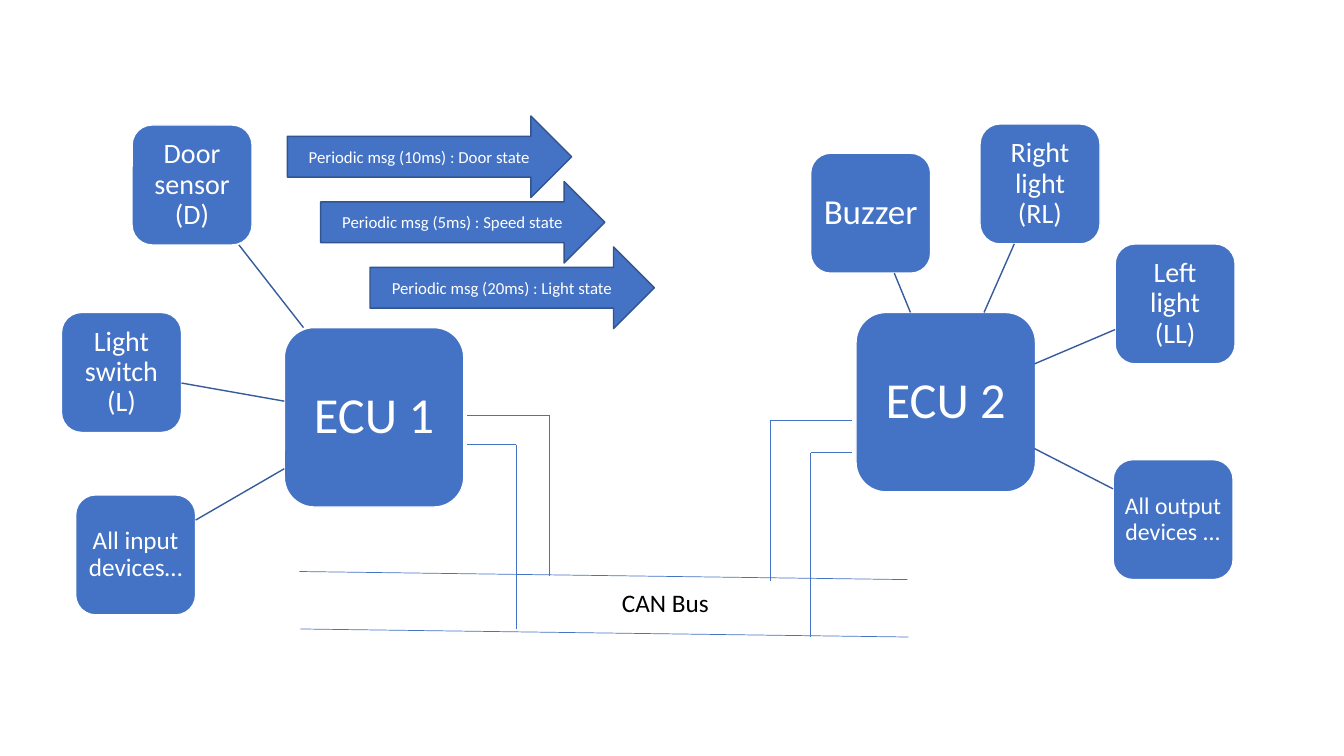
import pptx
import pptx.util
import pptx.dml.color
import pptx.enum.shapes
import pptx.enum.text
import pptx.oxml

Inches = pptx.util.Inches
Pt = pptx.util.Pt
RGBColor = pptx.dml.color.RGBColor
Kind = pptx.enum.shapes.MSO_SHAPE
Align = pptx.enum.text.PP_ALIGN
Anchor = pptx.enum.text.MSO_ANCHOR

BLUE = RGBColor(0x44, 0x72, 0xC4)
SPOKE = RGBColor(0x36, 0x5B, 0x9D)
EDGE = RGBColor(0x32, 0x54, 0x91)
WHITE = RGBColor(0xFF, 0xFF, 0xFF)
BLACK = RGBColor(0, 0, 0)
FONT = "Calibri"

deck = pptx.Presentation()
deck.slide_width = Inches(13.33)
deck.slide_height = Inches(7.5)
slide = deck.slides.add_slide(deck.slide_layouts[6])
shapes = slide.shapes


def add_block(kind, text, left, top, width, height, size, edge):
    block = shapes.add_shape(kind, Inches(left), Inches(top), Inches(width), Inches(height))
    block.shadow.inherit = False
    block.fill.solid()
    block.fill.fore_color.rgb = BLUE
    block.line.color.rgb = edge
    block.line.width = Pt(1)
    frame = block.text_frame
    frame.word_wrap = True
    frame.vertical_anchor = Anchor.MIDDLE
    para = frame.paragraphs[0]
    para.text = text
    para.alignment = Align.CENTER
    para.font.name = FONT
    para.font.size = Pt(size)
    para.font.color.rgb = WHITE
    return frame


def add_line(start, end, color, width):
    line = shapes.add_connector(
        pptx.enum.shapes.MSO_CONNECTOR.STRAIGHT, *map(Inches, start + end))
    line.line.color.rgb = color
    line.line.width = Pt(width)
    line._element.spPr.append(pptx.oxml.parse_xml(
        '<a:effectLst xmlns:a="http://schemas.openxmlformats.org/drawingml/2006/main"/>'))


HUB, NODE = 1.78, 1.19
nodes = [
    ("ECU 1", 2.82, 3.25, HUB, 36, 0.1),
    ("Door sensor (D)", 1.31, 1.24, NODE, 20, 0.06),
    ("Light switch (L)", 0.61, 3.1, NODE, 20, 0.06),
    ("All input devices…", 0.75, 4.91, NODE, 18, 0.05),
    ("ECU 2", 8.49, 3.1, HUB, 36, 0.1),
    ("Right light (RL)", 9.72, 1.23, NODE, 20, 0.06),
    ("Left light (LL)", 11.06, 2.42, NODE, 20, 0.06),
    ("Buzzer", 8.04, 1.52, NODE, 25, 0.07),
    ("All output devices ...", 11.04, 4.56, NODE, 17, 0.05),
]
for text, left, top, side, size, inset in nodes:
    frame = add_block(Kind.ROUNDED_RECTANGLE, text, left, top, side, side, size, WHITE)
    frame.margin_left = frame.margin_right = Inches(inset)
    frame.margin_top = frame.margin_bottom = Inches(inset)
    frame.paragraphs[0].line_spacing = 0.9

spokes = [
    ((3.01, 3.25), (2.37, 2.43)),
    ((2.82, 3.98), (1.8, 3.8)),
    ((2.82, 4.65), (1.94, 5.16)),
    ((9.76, 3.1), (10.06, 2.42)),
    ((10.26, 3.61), (11.06, 3.27)),
    ((9.03, 3.1), (8.87, 2.71)),
    ((10.26, 4.45), (11.04, 4.85)),
]
for start, end in spokes:
    add_line(start, end, SPOKE, 1)

for left, top in [(2.97, 5.67), (2.98, 6.24)]:
    add_line((left, top), (left + 6.03, top + 0.08), BLUE, 0.5)

label = shapes.add_textbox(Inches(6.07), Inches(5.78), Inches(1.28), Inches(0.4))
label.text_frame.word_wrap = True
para = label.text_frame.paragraphs[0]
para.text = "CAN Bus"
para.font.name = FONT
para.font.size = Pt(18)
para.font.color.rgb = BLACK

wires = [
    (4.63, 5.45, 4.12, 5.71),
    (4.63, 5.12, 4.41, 6.24),
    (8.45, 7.64, 4.17, 5.76),
    (8.45, 8.04, 4.49, 6.32),
]
for port, turn, top, bus in wires:
    add_line((port, top), (turn, top), BLUE, 0.5)
    add_line((turn, top), (turn, bus), BLUE, 0.5)

arrows = [
    ("Periodic msg (10ms) : Door state", 2.85, 1.15),
    ("Periodic msg (20ms) : Light state", 3.67, 2.45),
    ("Periodic msg (5ms) : Speed state", 3.18, 1.8),
]
for text, left, top in arrows:
    add_block(Kind.RIGHT_ARROW, text, left, top, 2.82, 0.81, 12, EDGE)

deck.save("out.pptx")
